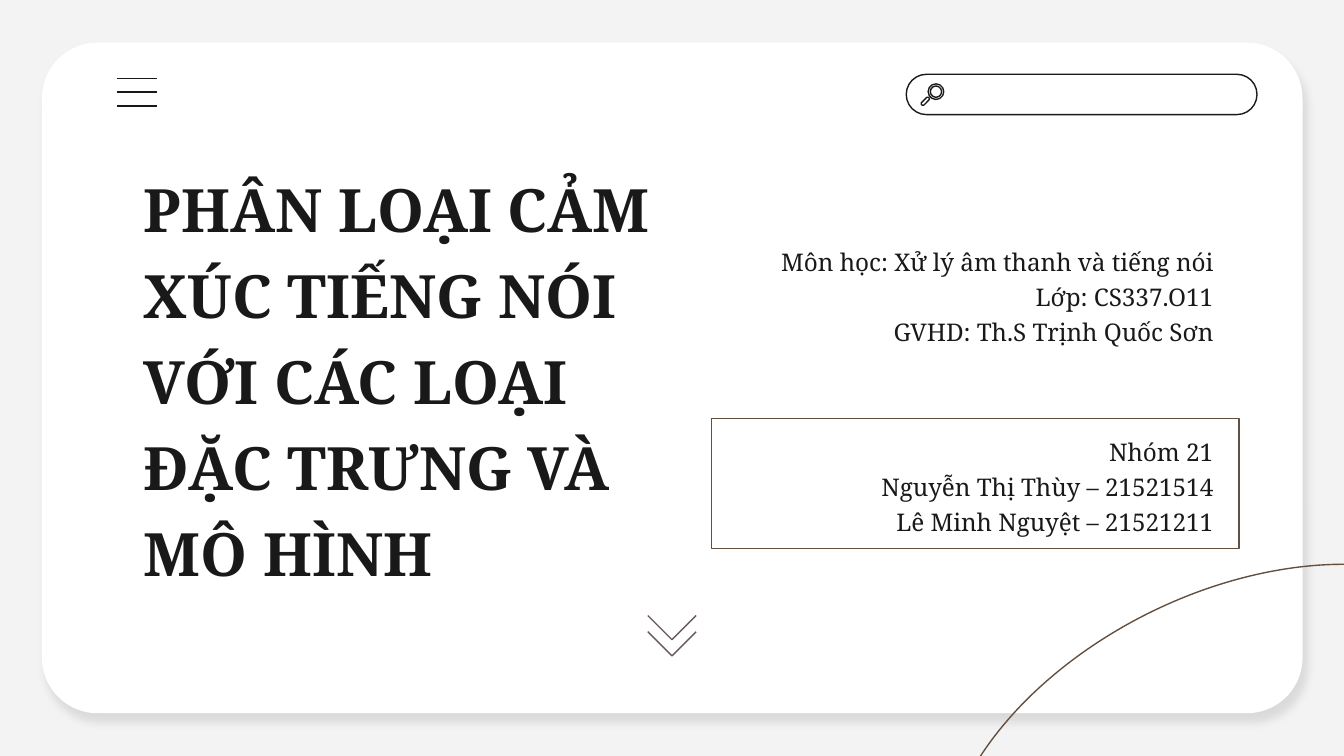
from lxml import etree
from pptx import Presentation
from pptx.dml.color import RGBColor
from pptx.enum.shapes import MSO_CONNECTOR, MSO_SHAPE
from pptx.enum.text import MSO_ANCHOR, MSO_AUTO_SIZE, PP_ALIGN
from pptx.oxml import parse_xml
from pptx.oxml.ns import nsdecls, qn
from pptx.util import Inches, Pt

ROUNDED, OVAL, RECTANGLE = MSO_SHAPE.ROUNDED_RECTANGLE, MSO_SHAPE.OVAL, MSO_SHAPE.RECTANGLE
STRAIGHT = MSO_CONNECTOR.STRAIGHT
LEFT, RIGHT = PP_ALIGN.LEFT, PP_ALIGN.RIGHT
MIDDLE, BOTTOM = MSO_ANCHOR.MIDDLE, MSO_ANCHOR.BOTTOM
NO_FIT = MSO_AUTO_SIZE.NONE

INK = RGBColor(0x19, 0x19, 0x19)
BROWN = RGBColor(0x63, 0x4F, 0x40)
MAUVE = RGBColor(0x67, 0x59, 0x5E)
WHITE = RGBColor(0xFF, 0xFF, 0xFF)
GREY = RGBColor(0xF3, 0xF3, 0xF3)
FONT = "Noto Serif"

deck = Presentation()
deck.slide_width = Inches(10)
deck.slide_height = deck.slide_width * 9 // 16
UNIT = deck.slide_width / 100  # square grid, 100 columns across the slide
page = deck.slides.add_slide(deck.slide_layouts[5])
page.background.fill.solid()
page.background.fill.fore_color.rgb = GREY


def add_outline(kind, left, top, width, height, color):
    shape = page.shapes.add_shape(kind, *(int(n * UNIT) for n in (left, top, width, height)))
    shape.shadow.inherit = False
    shape.fill.background()
    shape.line.color.rgb = color
    shape.line.width = Pt(0.75)
    return shape


def write_lines(box, lines, size, align, anchor, bold=False):
    frame = box.text_frame
    frame.word_wrap = True
    frame.auto_size = NO_FIT
    frame.vertical_anchor = anchor
    for index, line in enumerate(lines):
        para = frame.paragraphs[0] if index == 0 else frame.add_paragraph()
        para.alignment = align
        para.line_spacing = 1.2
        span = para.add_run()
        span.text = line
        span.font.name = FONT
        span.font.size = Pt(size)
        span.font.bold = bold
        span.font.color.rgb = INK


# White card with a soft shadow
card = add_outline(ROUNDED, 3.12, 3.17, 93.8, 49.9, WHITE)
card.adjustments[0] = 0.083
card.fill.solid()
card.fill.fore_color.rgb = WHITE
card.line.fill.background()
effects = card.element.spPr.find(qn("a:effectLst"))
effects.append(parse_xml(
    f'<a:outerShdw {nsdecls("a")} blurRad="{Pt(4.5)}" dist="{Pt(6)}" dir="{68 * 60000}"'
    ' algn="bl" rotWithShape="0"><a:srgbClr val="000000"><a:alpha val="10000"/>'
    '</a:srgbClr></a:outerShdw>'))

# Menu icon
for bar in range(3):
    y = int((5.82 + bar * 1.04) * UNIT)
    line = page.shapes.add_connector(STRAIGHT, int(8.7 * UNIT), y, int(11.7 * UNIT), y)
    line.line.color.rgb = INK
    line.line.width = Pt(0.75)
    etree.SubElement(line.element.spPr, qn("a:effectLst"))

# Search bar with a magnifier
search = add_outline(ROUNDED, 67.43, 5.53, 26.1, 3, INK)
search.adjustments[0] = 0.5
for diameter in (1.16, 0.84):
    add_outline(OVAL, 69.64 - diameter / 2, 6.82 - diameter / 2, diameter, diameter, INK)
handle = add_outline(ROUNDED, 68.47, 7.4, 0.75, 0.26, INK)
handle.adjustments[0] = 0.5
handle.rotation = 135

# Title, brought in front of the card
title = page.shapes.title
title.left, title.top, title.width, title.height = (
    int(n * UNIT) for n in (9.7, 11.4, 40.3, 33.4))
frame = title.text_frame
frame.margin_left = frame.margin_right = frame.margin_top = frame.margin_bottom = int(UNIT)
write_lines(title, ["PHÂN LOẠI CẢM XÚC TIẾNG NÓI VỚI CÁC LOẠI ĐẶC TRƯNG VÀ MÔ HÌNH"],
            32, LEFT, BOTTOM, bold=True)
card.element.addnext(title.element)

# Corner curve and double chevron, drawn in tenths of a grid unit
curve = add_outline(OVAL, 68.7, 44.03, 46.9, 29.5, BROWN)
curve.rotation = 333.9
for top in (470, 458):
    builder = page.shapes.build_freeform(482, top, scale=UNIT / 10)
    builder.add_line_segments([(500, top + 18), (518, top)], close=False)
    chevron = builder.convert_to_shape()
    chevron.shadow.inherit = False
    chevron.fill.background()
    chevron.line.color.rgb = MAUVE
    chevron.line.width = Pt(0.75)

# Course details, and the group's names in a frame
add_outline(RECTANGLE, 52.95, 31.13, 39.25, 9.68, BROWN)
details = [
    (17, ["Môn học: Xử lý âm thanh và tiếng nói", "Lớp: CS337.O11",
          "GVHD: Th.S Trịnh Quốc Sơn"]),
    (31.13, ["Nhóm 21", "Nguyễn Thị Thùy – 21521514", "Lê Minh Nguyệt – 21521211"]),
]
for top, lines in details:
    box = page.shapes.add_textbox(*(int(n * UNIT) for n in (52.95, top, 38.3, 9.7)))
    write_lines(box, lines, 13, RIGHT, MIDDLE)

deck.save("out.pptx")
